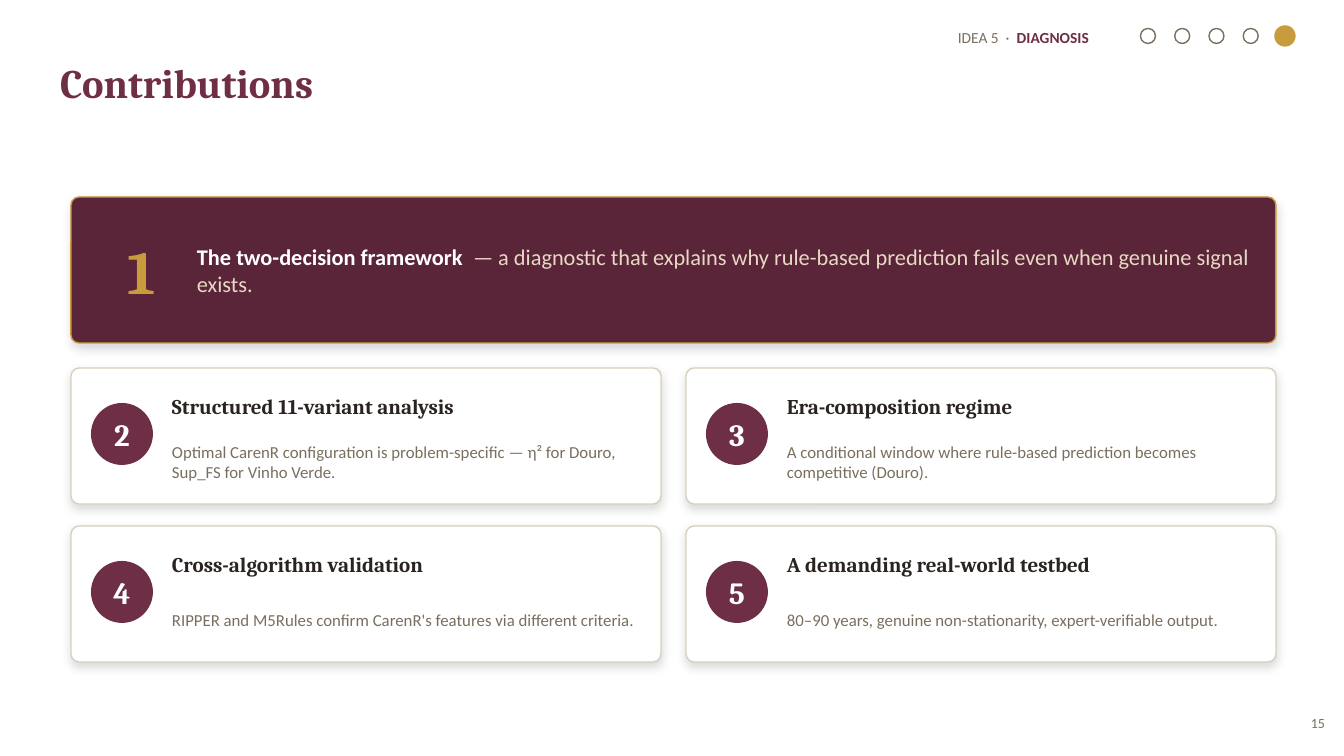
from lxml import etree
from pptx import Presentation
from pptx.dml.color import RGBColor
from pptx.enum.shapes import MSO_SHAPE
from pptx.enum.text import MSO_ANCHOR, PP_ALIGN
from pptx.oxml.ns import qn
from pptx.util import Pt

SCALE = 914400 / 100.8
COLORS = {
    "white": "FFFFFF", "wine": "6D2E46", "dark_wine": "5A2439", "gold": "C89B3C",
    "taupe": "7A6F5E", "sand": "D9CFBE", "cream": "E7D9C4", "ink": "2B2320",
    "shadow": "000000",
}
CARDS = [
    ("2", "Structured 11-variant analysis",
     "Optimal CarenR configuration is problem-specific — η² for Douro, Sup_FS for Vinho Verde."),
    ("3", "Era-composition regime",
     "A conditional window where rule-based prediction becomes competitive (Douro)."),
    ("4", "Cross-algorithm validation",
     "RIPPER and M5Rules confirm CarenR's features via different criteria."),
    ("5", "A demanding real-world testbed",
     "80–90 years, genuine non-stationarity, expert-verifiable output."),
]


def emu(*pixels):
    """Turn pixel lengths into EMU."""
    return [round(value * SCALE) for value in pixels]


def rgb(name):
    """Look up a palette colour."""
    return RGBColor.from_string(COLORS[name])


def write(shape, runs, size, font="Calibri", align=PP_ALIGN.LEFT, anchor=MSO_ANCHOR.MIDDLE):
    """Fill a shape with one paragraph of (text, colour, bold) runs."""
    frame = shape.text_frame
    frame.word_wrap = True
    frame.margin_left = frame.margin_top = frame.margin_right = frame.margin_bottom = 0
    frame.vertical_anchor = anchor
    paragraph = frame.paragraphs[0]
    paragraph.alignment = align
    for text, color, bold in runs:
        run = paragraph.add_run()
        run.text = text
        run.font.name = font
        run.font.size = Pt(size)
        run.font.bold = bold
        run.font.color.rgb = rgb(color)


def add_text(slide, box, runs, size, **style):
    """Add a text box."""
    write(slide.shapes.add_textbox(*emu(*box)), runs, size, **style)


def add_figure(slide, kind, box, fill, line=None):
    """Add a filled preset shape with an optional outline."""
    figure = slide.shapes.add_shape(kind, *emu(*box))
    figure.shadow.inherit = False
    figure.fill.solid()
    figure.fill.fore_color.rgb = rgb(fill)
    if line:
        figure.line.color.rgb = rgb(line)
        figure.line.width = Pt(1)
    else:
        figure.line.fill.background()
    return figure


def add_panel(slide, box, fill, line):
    """Add a rounded panel with a soft shadow below it."""
    panel = add_figure(slide, MSO_SHAPE.ROUNDED_RECTANGLE, box, fill, line)
    panel.adjustments[0] = 8 / box[3]
    effects = panel._element.spPr.find(qn("a:effectLst"))
    shadow = etree.SubElement(effects, qn("a:outerShdw"), blurRad=str(Pt(7)),
                              dist=str(Pt(3)), dir="5400000", algn="ctr", rotWithShape="0")
    color = etree.SubElement(shadow, qn("a:srgbClr"), val=COLORS["shadow"])
    etree.SubElement(color, qn("a:alpha"), val="14000")


def add_progress(slide, box, label, topic, steps):
    """Add the section label and a row of dots whose last one is current."""
    left, top, width, height = box
    add_text(slide, (left, top, 494, height),
             [(f"{label}  ·  ", "taupe", False), (topic, "wine", True)],
             11, align=PP_ALIGN.RIGHT)
    first, last, middle = left + 553, left + width - 10, top + 16
    for step in range(steps):
        current = step == steps - 1
        size = 20 if current else 15
        center = first + (last - first) * step / (steps - 1)
        add_figure(slide, MSO_SHAPE.OVAL,
                   (center - size / 2, middle - size / 2, size, size),
                   "gold" if current else "white", "gold" if current else "taupe")


def add_main_contribution(slide, box, number, lead, detail):
    """Add the dark panel for the leading contribution."""
    left, top, width, height = box
    add_panel(slide, box, "dark_wine", "gold")
    add_text(slide, (left + 25, top + 20, 91, height - 40), [(number, "gold", True)],
             44, font="Cambria", align=PP_ALIGN.CENTER)
    add_text(slide, (left + 126, top + 20, width - 147, height - 40),
             [(f"{lead}  ", "white", True), (detail, "cream", False)], 16)


def add_card(slide, box, number, heading, body):
    """Add a numbered contribution card."""
    left, top, width, height = box
    add_panel(slide, box, "white", "sand")
    badge = add_figure(slide, MSO_SHAPE.OVAL, (left + 20, top + 35, 62, 62), "wine")
    write(badge, [(number, "white", True)], 22, font="Cambria", align=PP_ALIGN.CENTER)
    add_text(slide, (left + 101, top + 18, width - 121, 40), [(heading, "ink", True)],
             15, font="Cambria")
    add_text(slide, (left + 101, top + 58, width - 121, height - 65),
             [(body, "taupe", False)], 12)


def add_card_grid(slide, box, cards, columns=2, gap_x=25, gap_y=22):
    """Lay the cards out in equal rows and columns."""
    left, top, width, height = box
    rows = len(cards) // columns
    card_width = (width - gap_x * (columns - 1)) / columns
    card_height = (height - gap_y * (rows - 1)) / rows
    for index, card in enumerate(cards):
        row, column = divmod(index, columns)
        add_card(slide, (left + column * (card_width + gap_x),
                         top + row * (card_height + gap_y), card_width, card_height), *card)


def build():
    """Build and save the contributions slide."""
    deck = Presentation()
    deck.slide_width, deck.slide_height = emu(1344, 756)
    slide = deck.slides.add_slide(deck.slide_layouts[6])
    add_text(slide, (60, 58, 847, 96), [("Contributions", "wine", True)],
             29, font="Cambria", anchor=MSO_ANCHOR.TOP)
    add_progress(slide, (595, 20, 700, 35), "IDEA 5", "DIAGNOSIS", 5)
    add_main_contribution(
        slide, (71, 197, 1205, 146), "1", "The two-decision framework",
        "— a diagnostic that explains why rule-based prediction fails even when genuine signal exists.")
    add_card_grid(slide, (71, 368, 1205, 294), CARDS)
    add_text(slide, (1265, 708, 60, 30), [("15", "taupe", False)], 10, align=PP_ALIGN.RIGHT)
    deck.save("out.pptx")


build()
